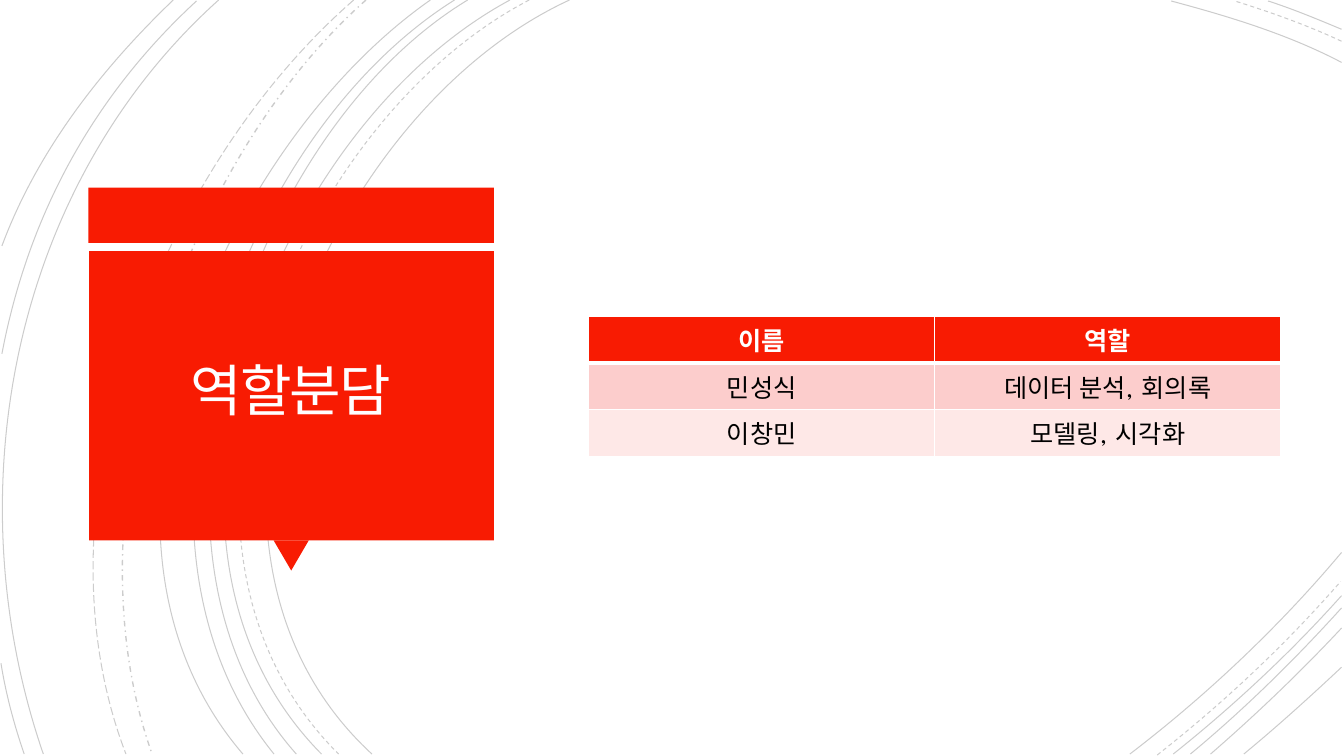
"""Build the role-assignment slide: swirl lines, red title callout and a table."""
from lxml import etree
from pptx import Presentation
from pptx.dml.color import RGBColor
from pptx.enum import dml, shapes, text
from pptx.oxml import ns
from pptx.util import Pt

RED = RGBColor(0xF8, 0x1B, 0x02)
PINK = RGBColor(0xFC, 0xCD, 0xCC)
PALE = RGBColor(0xFE, 0xE8, 0xE7)
WHITE = RGBColor(0xFF, 0xFF, 0xFF)
OFF_WHITE = RGBColor(0xFF, 0xFE, 0xFF)
BLACK = RGBColor(0, 0, 0)

SOLID = dml.MSO_LINE.SOLID
DASH = dml.MSO_LINE.DASH
DASH_DOT = dml.MSO_LINE.DASH_DOT
LONG_DASH = dml.MSO_LINE.LONG_DASH

SWIRLS = [
    (SOLID, 0.75, [
        [(406.8, 0), (226.8, 82.8), (103, 388.8), (265.7, 538.6)],
        [(958.3, 44.6), (920.2, 24.5), (877, 11.5), (836.6, 0.7)],
        [(807.1, 538.6), (861.8, 496.8), (913.7, 447.8), (958.3, 394.6)],
        [(364.3, 0), (194.4, 91.4), (79.2, 386.6), (229.7, 538.6)],
        [(958.3, 20.9), (941, 13.7), (923.8, 6.5), (905.8, 0.7)],
        [(838.1, 538.6), (880.6, 504.7), (921.6, 466.6), (958.3, 425.5)],
        [(334.1, 0), (175.7, 95.8), (79.2, 389.5), (211.7, 538.6)],
        [(850.3, 538.6), (888.5, 506.9), (924.5, 471.6), (958.3, 434.2)],
        [(324.7, 0), (166.3, 99.4), (69.8, 383.8), (195.8, 538.6)],
        [(864.7, 538.6), (897.1, 510.5), (928.8, 480.2), (958.3, 448.6)],
        [(307.4, 0), (156.2, 105.8), (38.2, 380.9), (173.5, 538.6)],
        [(888.5, 538.6), (912.2, 519.1), (935.3, 498.2), (958.3, 476.6)],
        [(156.2, 0), (7.9, 133.2), (-33.1, 352.8), (31, 538.6)],
        [(140.4, 0.7), (66.2, 69.1), (20.2, 154.1), (1.4, 252.7)],
        [(0.7, 473.8), (4.3, 496.1), (10.1, 517.7), (17.3, 538.6)],
        [(123.8, 0), (72, 49.7), (26.6, 108), (1.4, 175.7)],
    ]),
    (DASH, 0.75, [
        [(378, 0), (205.2, 90), (88.6, 386.6), (241.9, 538.6)],
        [(958.3, 29.5), (933.8, 18), (907.2, 8.6), (882, 0.7)],
        [(826.6, 539.3), (873.4, 502.6), (918, 460.8), (957.6, 415.4)],
    ]),
    (DASH_DOT, 1, [[(261.4, 0), (126.7, 119.5), (46.8, 366.5), (108.7, 538.6)]]),
    (LONG_DASH, 0.75, [[(252.7, 0), (113, 121.7), (20.9, 359.3), (90, 538.6)]]),
]

ROLES = [("이름", "역할"), ("민성식", "데이터 분석, 회의록"), ("이창민", "모델링, 시각화")]
ROW_FILLS = [RED, PINK, PALE]


def apply_format(target, values):
    """Set every attribute named in values on target."""
    for name, value in values.items():
        setattr(target, name, value)


def add_swirl(slide, points, dash, width):
    """Draw one translucent cubic curve through four control points."""
    start, *rest = [(Pt(x), Pt(y)) for x, y in points]
    builder = slide.shapes.build_freeform(*start)
    builder.add_line_segments(rest, close=False)
    swirl = builder.convert_to_shape()
    segments = swirl.element.xpath(".//a:lnTo")
    curve = etree.SubElement(segments[0].getparent(), ns.qn("a:cubicBezTo"))
    for segment in segments:
        curve.append(segment[0])
        segment.getparent().remove(segment)
    swirl.shadow.inherit = False
    swirl.fill.background()
    swirl.line.color.rgb = BLACK
    apply_format(swirl.line, {"width": Pt(width), "dash_style": dash})
    color = swirl.element.xpath(".//a:ln//a:srgbClr")[0]
    etree.SubElement(color, ns.qn("a:alpha"), val="20000")


def add_block(slide, preset, box, rotation=0):
    """Add a plain red part of the title callout."""
    block = slide.shapes.add_shape(preset, *map(Pt, box))
    block.rotation = rotation
    block.shadow.inherit = False
    block.fill.solid()
    block.fill.fore_color.rgb = RED
    block.line.fill.background()


def write_text(frame, words, font_values, color, paragraph_values):
    """Write one formatted paragraph and return its run."""
    paragraph = frame.paragraphs[0]
    apply_format(paragraph, {"alignment": text.PP_ALIGN.CENTER, **paragraph_values})
    run = paragraph.add_run()
    run.text = words
    apply_format(run.font, font_values)
    run.font.color.rgb = color
    return run


def place_title(slide, words):
    """Move the title placeholder in front of the callout and fill it."""
    title = slide.shapes.title
    title.element.getparent().append(title.element)
    apply_format(title, {"left": Pt(69.8), "top": Pt(185), "width": Pt(275.8), "height": Pt(193.7)})
    frame = title.text_frame
    margins = {f"margin_{side}": Pt(18) for side in ("left", "top", "right", "bottom")}
    apply_format(frame, {"word_wrap": True, "auto_size": text.MSO_AUTO_SIZE.NONE,
                         "vertical_anchor": text.MSO_ANCHOR.MIDDLE, **margins})
    run = write_text(frame, words, {"name": "Calibri", "size": Pt(40)}, OFF_WHITE,
                     {"line_spacing": 0.85})
    run.font._element.set("spc", "-150")


def add_borders(cell, widths):
    """Give a cell white borders, with widths keyed by side."""
    properties = cell._tc.get_or_add_tcPr()
    for side, width in widths.items():
        border = etree.SubElement(properties, ns.qn(f"a:ln{side}"), w=str(Pt(width)))
        fill = etree.SubElement(border, ns.qn("a:solidFill"))
        etree.SubElement(fill, ns.qn("a:srgbClr"), val=str(WHITE))


def add_roles(slide):
    """Add the table of names and roles."""
    box = map(Pt, (420.5, 226.1, 494.4, 87.75))
    roles = slide.shapes.add_table(len(ROLES), len(ROLES[0]), *box).table
    for row, (entries, row_fill) in enumerate(zip(ROLES, ROW_FILLS)):
        header = row == 0
        for column, words in enumerate(entries):
            cell = roles.cell(row, column)
            add_borders(cell, {"L": 1, "R": 1, "T": 3 if row == 1 else 1, "B": 3 if header else 1})
            cell.fill.solid()
            cell.fill.fore_color.rgb = row_fill
            write_text(cell.text_frame, words,
                       {"name": "TeX Gyre Bonum", "size": Pt(18), "bold": header},
                       WHITE if header else BLACK, {})


def main():
    """Build and save the slide."""
    deck = Presentation()
    apply_format(deck, {"slide_width": Pt(960), "slide_height": Pt(540)})
    slide = deck.slides.add_slide(deck.slide_layouts[5])
    for dash, width, curves in SWIRLS:
        for points in curves:
            add_swirl(slide, points, dash, width)
    add_block(slide, shapes.MSO_SHAPE.RECTANGLE, (63.2, 134, 289.6, 39.6))
    add_block(slide, shapes.MSO_SHAPE.ISOSCELES_TRIANGLE, (195.4, 385.9, 25.2, 21.6), 180)
    add_block(slide, shapes.MSO_SHAPE.RECTANGLE, (63.6, 179.4, 289.2, 206.6))
    place_title(slide, "역할분담")
    add_roles(slide)
    deck.save("out.pptx")


main()
